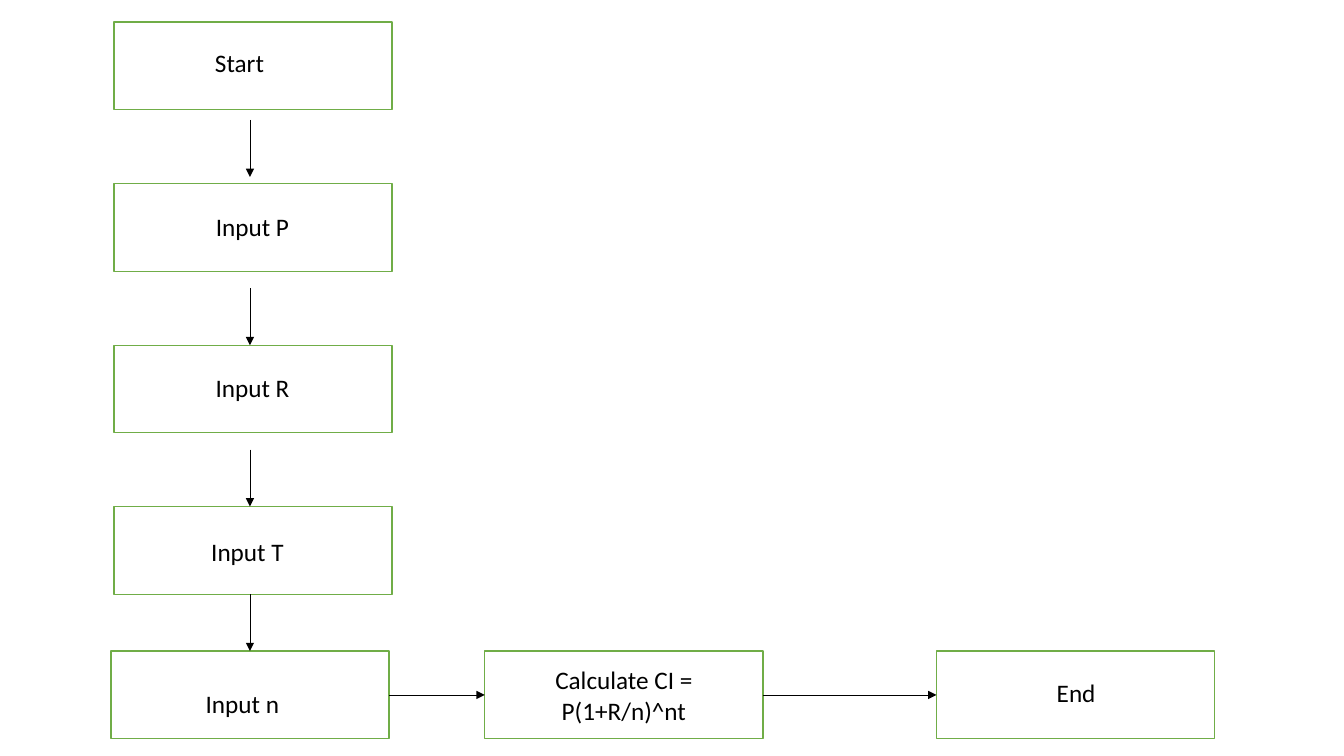
from lxml import etree
from pptx import Presentation
from pptx.dml.color import RGBColor
from pptx.enum.shapes import MSO_CONNECTOR, MSO_SHAPE
from pptx.enum.text import MSO_ANCHOR, PP_ALIGN
from pptx.oxml.ns import qn
from pptx.util import Pt

RECTANGLE = MSO_SHAPE.RECTANGLE
STRAIGHT = MSO_CONNECTOR.STRAIGHT
MIDDLE = MSO_ANCHOR.MIDDLE
CENTER = PP_ALIGN.CENTER
TOP, LEFT, RIGHT = 0, 1, 3

# Content: column steps and the bottom row, each with its label's left and top
INPUT_STEPS = [
    ("Start", 74.2, 30.2),
    ("Input P", 83.5, 147.6),
    ("Input R", 83.5, 262.1),
    ("Input T", 79.9, 379.4),
]
LAST_INPUT = ("Input n", 76.3, 488.2)
END = ("End", 671.8, 480.2)
FORMULA = "Calculate CI = P(1+R/n)^nt"

# Layout in points
STEP_W, STEP_H = 198.7, 62.6
COLUMN_LEFT, COLUMN_TOP, COLUMN_PITCH = 81.4, 15.8, 115.4
ROW_TOP = 465.1
LAST_INPUT_LEFT, FORMULA_LEFT, END_LEFT = 79.2, 346.3, 668.9
LABEL_W, LABEL_H = 193.7, 29
DOWN_X = LAST_INPUT_LEFT + STEP_W / 2
DOWN_LENGTH = 40.7
DOWN_TOPS = [85.7, 205.9, 321.1]

GREEN, WHITE, BLACK = "70AD47", "FFFFFF", "000000"


def color(hex_value):
    return RGBColor.from_string(hex_value)


def write(frame, text):
    frame.word_wrap = True
    paragraph = frame.paragraphs[0]
    paragraph.text = text
    paragraph.alignment = CENTER
    paragraph.font.name = "Calibri"
    paragraph.font.size = Pt(18)
    paragraph.font.color.rgb = color(BLACK)


def add_step(slide, left, top):
    step = slide.shapes.add_shape(RECTANGLE, Pt(left), Pt(top), Pt(STEP_W), Pt(STEP_H))
    step.shadow.inherit = False
    step.fill.solid()
    step.fill.fore_color.rgb = color(WHITE)
    step.line.color.rgb = color(GREEN)
    step.line.width = Pt(1)
    return step


def add_label(slide, text, left, top):
    label = slide.shapes.add_textbox(Pt(left), Pt(top), Pt(LABEL_W), Pt(LABEL_H))
    write(label.text_frame, text)


def add_arrow(slide, x1, y1, x2, y2):
    arrow = slide.shapes.add_connector(STRAIGHT, Pt(x1), Pt(y1), Pt(x2), Pt(y2))
    arrow.line.color.rgb = color(BLACK)
    arrow.line.width = Pt(0.5)
    line = arrow.line._get_or_add_ln()
    etree.SubElement(line, qn("a:tailEnd"), type="triangle")
    etree.SubElement(arrow._element.spPr, qn("a:effectLst"))
    return arrow


def main():
    prs = Presentation()
    prs.slide_width, prs.slide_height = Pt(960), Pt(540)
    slide = prs.slides.add_slide(prs.slide_layouts[6])

    # Column of inputs
    for i, label in enumerate(INPUT_STEPS):
        add_step(slide, COLUMN_LEFT, COLUMN_TOP + i * COLUMN_PITCH)
        add_label(slide, *label)

    # Bottom row
    last_input = add_step(slide, LAST_INPUT_LEFT, ROW_TOP)
    add_label(slide, *LAST_INPUT)
    formula = add_step(slide, FORMULA_LEFT, ROW_TOP)
    formula.text_frame.vertical_anchor = MIDDLE
    write(formula.text_frame, FORMULA)
    end = add_step(slide, END_LEFT, ROW_TOP)
    add_label(slide, *END)

    # Arrows down the column
    for top in DOWN_TOPS:
        add_arrow(slide, DOWN_X, top, DOWN_X, top + DOWN_LENGTH)
    to_last_input = add_arrow(slide, DOWN_X, ROW_TOP - DOWN_LENGTH, DOWN_X, ROW_TOP)
    to_last_input.end_connect(last_input, TOP)

    # Arrows along the bottom row, joined to the boxes at both ends
    row_middle = ROW_TOP + STEP_H / 2
    row = [(last_input, LAST_INPUT_LEFT), (formula, FORMULA_LEFT), (end, END_LEFT)]
    for (source, source_left), (target, target_left) in zip(row, row[1:]):
        arrow = add_arrow(slide, source_left + STEP_W, row_middle, target_left, row_middle)
        arrow.begin_connect(source, RIGHT)
        arrow.end_connect(target, LEFT)

    prs.save("out.pptx")


if __name__ == "__main__":
    main()
